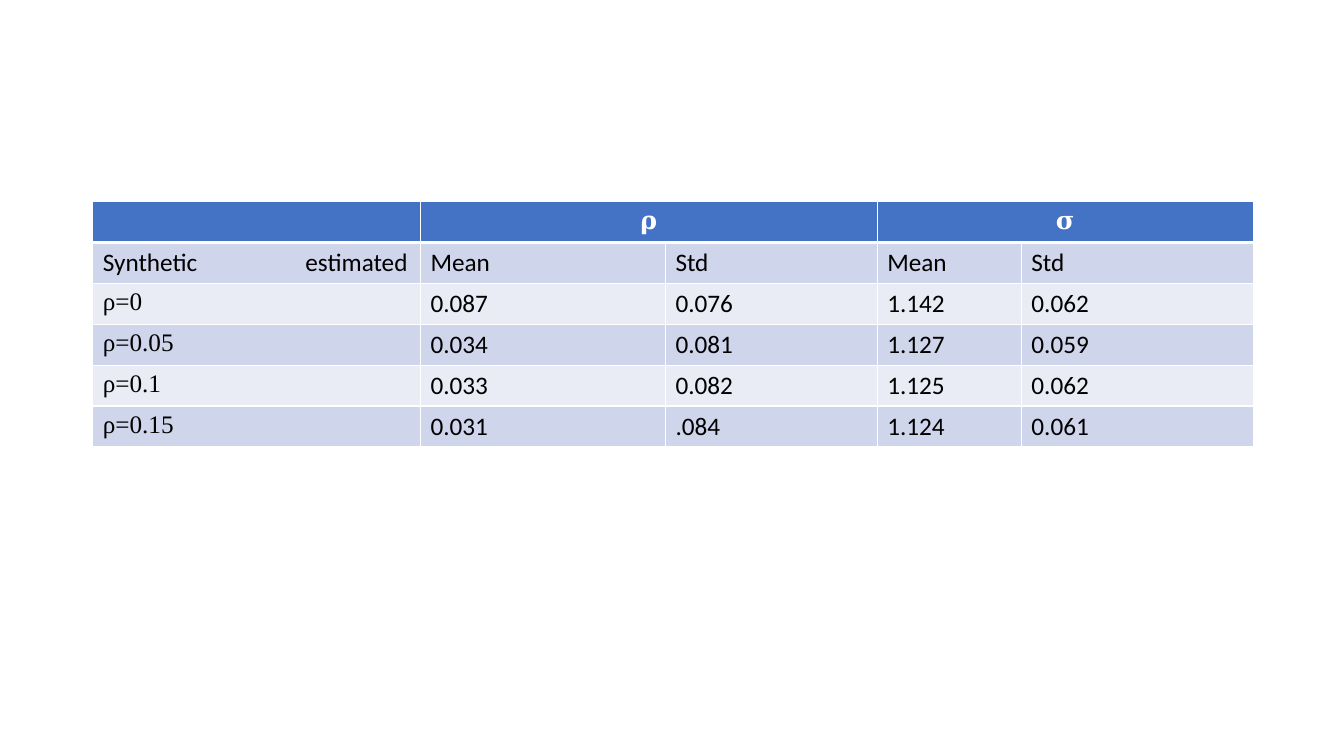
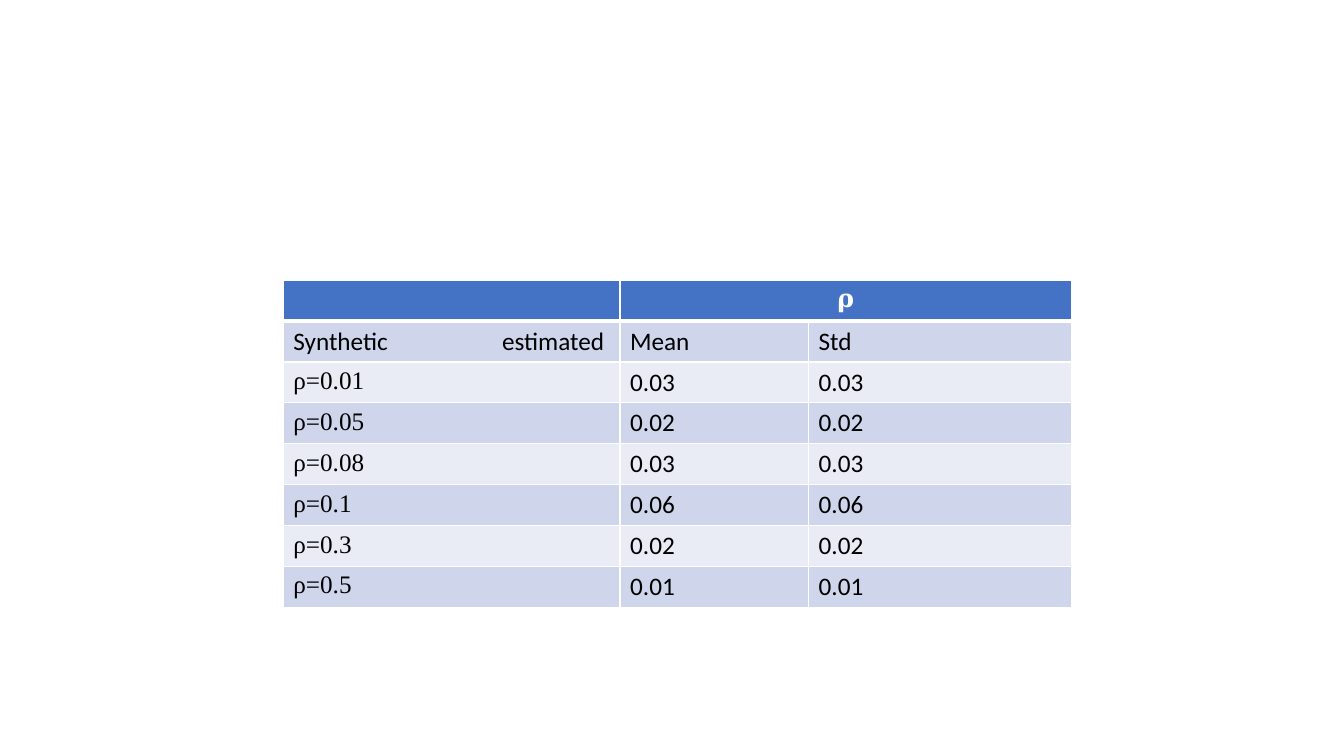
from lxml import etree
from pptx import Presentation
from pptx.dml.color import RGBColor
from pptx.enum.text import PP_ALIGN
from pptx.oxml.ns import qn
from pptx.util import Inches, Pt

CENTER, LEFT = PP_ALIGN.CENTER, PP_ALIGN.LEFT
WHITE = RGBColor(0xFF, 0xFF, 0xFF)
BLACK = RGBColor(0x00, 0x00, 0x00)
HEADER_BLUE = RGBColor(0x44, 0x72, 0xC4)
BANDS = (RGBColor(0xCF, 0xD5, 0xEA), RGBColor(0xE9, 0xEB, 0xF5))
SANS, SERIF = "Calibri", "Times New Roman"
BLANK_LAYOUT = 6
THIN, THICK = 1, 3
CORNER_LABEL = "Synthetic\testimated"

RHO_SIGMA = dict(
    box=(0.92, 2, 11.5, 2.43),
    col_widths=(3.25, 2.43, 2.1, 1.43, 2.3),
    groups=("𝛒", "𝛔"),
    label_tab=2.01,
    rows=(
        ("ρ=0", "0.087", "0.076", "1.142", "0.062"),
        ("ρ=0.05", "0.034", "0.081", "1.127", "0.059"),
        ("ρ=0.1", "0.033", "0.082", "1.125", "0.062"),
        ("ρ=0.15", "0.031", ".084", "1.124", "0.061"),
    ),
)
RHO_ONLY = dict(
    box=(2.81, 2.78, 7.82, 3.24),
    col_widths=(3.34, 1.87, 2.61),
    groups=("𝛒",),
    label_tab=2.07,
    rows=(
        ("ρ=0.01", "0.03", "0.03"),
        ("ρ=0.05", "0.02", "0.02"),
        ("ρ=0.08", "0.03", "0.03"),
        ("ρ=0.1", "0.06", "0.06"),
        ("ρ=0.3", "0.02", "0.02"),
        ("ρ=0.5", "0.01", "0.01"),
    ),
)


def write(cell, text, font=SANS, color=BLACK, bold=False, align=LEFT):
    p = cell.text_frame.paragraphs[0]
    p.alignment = align
    r = p.add_run()
    r.text = text
    r.font.name, r.font.size, r.font.bold = font, Pt(18), bold
    r.font.color.rgb = color


def add_tab_stop(cell, position):
    pPr = cell.text_frame.paragraphs[0]._p.get_or_add_pPr()
    tabs = etree.SubElement(pPr, qn("a:tabLst"))
    etree.SubElement(tabs, qn("a:tab"), pos=str(Inches(position)), algn="l")


def style_cell(cell, fill, top=THIN, bottom=THIN):
    """Set white borders, then the fill, which must follow them in the XML."""
    tcPr = cell._tc.get_or_add_tcPr()
    for side, width in (("L", THIN), ("R", THIN), ("T", top), ("B", bottom)):
        ln = etree.SubElement(tcPr, qn(f"a:ln{side}"), w=str(Pt(width)))
        solid = etree.SubElement(ln, qn("a:solidFill"))
        etree.SubElement(solid, qn("a:srgbClr"), val=str(WHITE))
    cell.fill.solid()
    cell.fill.fore_color.rgb = fill


def add_estimate_table(s, box, col_widths, groups, label_tab, rows):
    body = [(CORNER_LABEL,) + ("Mean", "Std") * len(groups), *rows]
    n_rows = len(body) + 1
    x, y, w, h = map(Inches, box)
    table = s.shapes.add_table(n_rows, len(col_widths), x, y, w, h).table
    for column, width in zip(table.columns, col_widths):
        column.width = Inches(width)
    for row in table.rows:
        row.height = h // n_rows

    for col in range(len(col_widths)):
        style_cell(table.cell(0, col), HEADER_BLUE, bottom=THICK)
    for i, symbol in enumerate(groups):
        left = 1 + 2 * i
        header = table.cell(0, left)
        header.merge(table.cell(0, left + 1))
        write(header, symbol, font=SERIF, color=WHITE, bold=True, align=CENTER)

    for i, values in enumerate(body):
        for col, text in enumerate(values):
            cell = table.cell(i + 1, col)
            style_cell(cell, BANDS[i % 2], top=THIN if i else THICK)
            write(cell, text, font=SERIF if i and col == 0 else SANS)
    add_tab_stop(table.cell(1, 0), label_tab)


def main():
    prs = Presentation()
    prs.slide_width, prs.slide_height = Inches(13.33), Inches(7.5)
    for content in (RHO_SIGMA, RHO_ONLY):
        s = prs.slides.add_slide(prs.slide_layouts[BLANK_LAYOUT])
        add_estimate_table(s, **content)
    prs.save("out.pptx")


if __name__ == "__main__":
    main()
